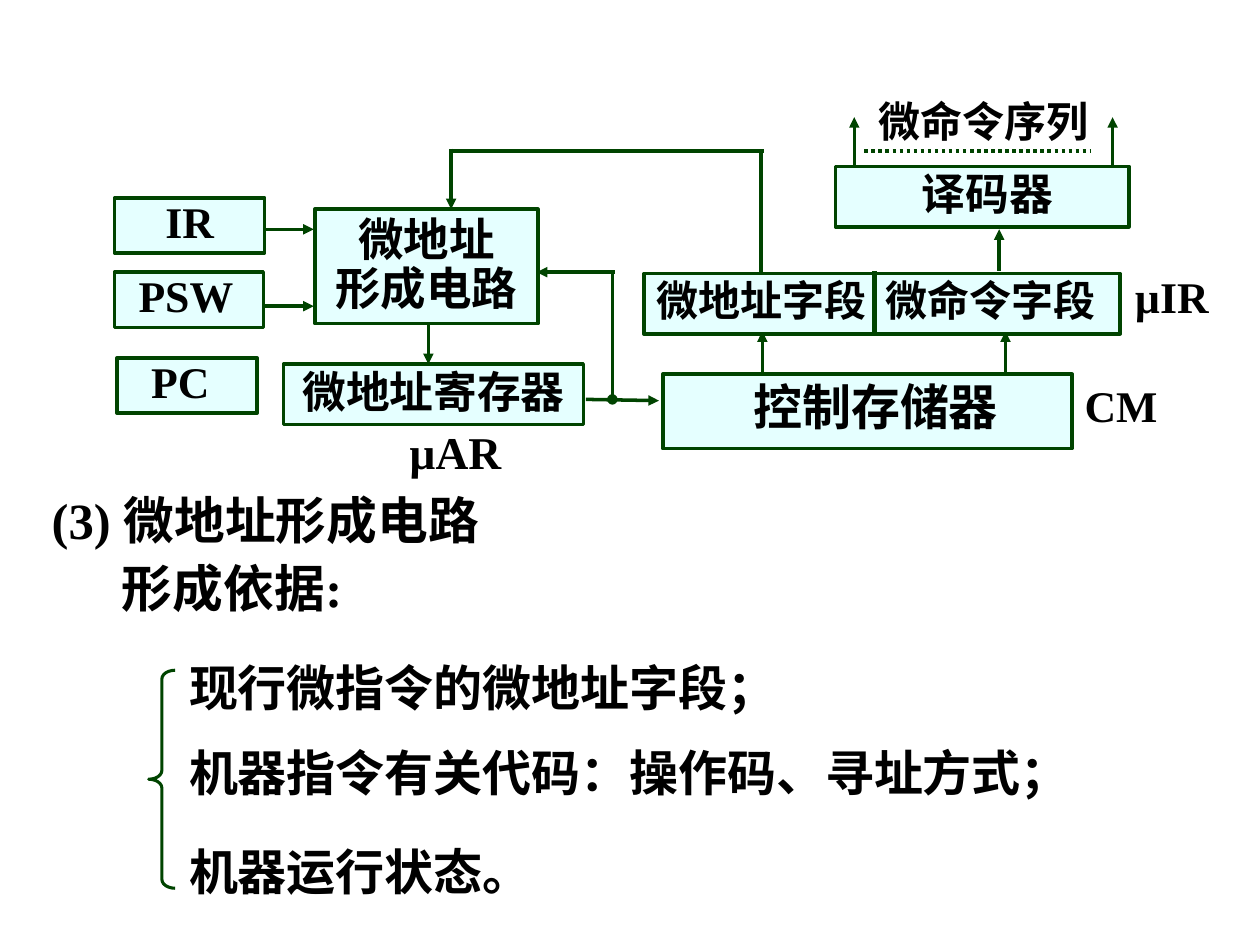
from lxml import etree
from pptx import Presentation
from pptx import util as u
from pptx.dml.color import RGBColor
from pptx.enum import dml, shapes, text
from pptx.oxml.ns import qn

COLORS = {"ink": "000000", "edge": "004400", "box": "E5FFFF"}
FONT = "Times New Roman"
LEFT, CENTER = text.PP_ALIGN.LEFT, text.PP_ALIGN.CENTER

deck = Presentation()
deck.slide_width, deck.slide_height = u.Inches(10), u.Inches(7.5)
cell = deck.slide_width / 100
slide = deck.slides.add_slide(deck.slide_layouts[1])


def write(shape, content, size=25, align=LEFT, spacing=1, inset=1, gaps=(0, 0, 0),
          anchor=text.MSO_ANCHOR.MIDDLE, wrap=True):
    frame = shape.text_frame
    frame.auto_size = text.MSO_AUTO_SIZE.NONE
    frame.word_wrap = wrap
    frame.vertical_anchor = anchor
    frame.margin_left, frame.margin_right = int(inset * cell), int(cell)
    frame.margin_top = frame.margin_bottom = 0
    for index, line in enumerate(content.split("\n")):
        paragraph = frame.paragraphs[0] if index == 0 else frame.add_paragraph()
        paragraph.alignment = align
        paragraph.line_spacing = spacing
        paragraph.space_before, paragraph.space_after = u.Pt(gaps[index]), u.Pt(0)
        properties = paragraph._p.get_or_add_pPr()
        properties.set("marL", "0")
        properties.set("indent", "0")
        etree.SubElement(properties, qn("a:buNone"))
        run = paragraph.add_run()
        run.text = line
        run.font.name, run.font.size, run.font.bold = FONT, u.Pt(size), True
        run.font.color.rgb = RGBColor.from_string(COLORS["ink"])


def wire(x1, y1, x2, y2, head=None, tail=None, width=2, dash=None):
    line = slide.shapes.add_connector(
        shapes.MSO_CONNECTOR.STRAIGHT, *(int(v * cell) for v in (x1, y1, x2, y2)))
    line.line.color.rgb = RGBColor.from_string(COLORS["edge"])
    line.line.width = u.Pt(width)
    if dash:
        line.line.dash_style = dash
    for tag, kind in (("a:headEnd", head), ("a:tailEnd", tail)):
        if kind:
            etree.SubElement(line.line._get_or_add_ln(), qn(tag), type=kind)
    etree.SubElement(line._element.spPr, qn("a:effectLst"))


heading = slide.shapes.title
reasons = slide.placeholders[1]
for holder, area in ((heading, (3.1, 38.3, 42, 5.8)), (reasons, (14, 52.2, 78, 21))):
    holder.left, holder.top, holder.width, holder.height = (int(v * cell) for v in area)
write(heading, "(3) 微地址形成电路", size=29)
write(reasons, "现行微指令的微地址字段；\n机器指令有关代码：操作码、寻址方式；\n机器运行状态。",
      size=28, gaps=(0, 15, 23), anchor=text.MSO_ANCHOR.TOP)

brace = slide.shapes.add_shape(
    shapes.MSO_SHAPE.LEFT_BRACE, *(int(v * cell) for v in (11.8, 53.2, 2.1, 17.3)))
brace.shadow.inherit = False
brace.adjustments[0], brace.adjustments[1] = 0.33, 0.5
brace.fill.background()
brace.line.color.rgb = RGBColor.from_string(COLORS["edge"])
brace.line.width = u.Pt(1.75)

arrows = [
    (79.8, 30.4, 79.8, 26.3), (60.5, 30.4, 60.5, 26.3), (79.3, 21.5, 79.3, 18.2),
    (67.8, 13.1, 67.8, 9.3), (88.3, 13.1, 88.3, 9.3), (46.5, 31.7, 52.3, 31.8),
    (48.8, 21.6, 42.6, 21.6), (34, 25.8, 34, 28.9), (20.8, 18.2, 24.9, 18.2),
    (20.8, 24.3, 24.9, 24.3), (35.8, 11.8, 35.8, 16.6),
]
for ends in arrows:
    wire(*ends, tail="triangle")
wire(48.6, 31.7, 48.6, 21.6, head="oval")
wire(35.8, 12, 60.6, 12)
wire(60.4, 12, 60.4, 21.7)
wire(68.6, 12, 86.6, 12, dash=dml.MSO_LINE.ROUND_DOT)

boxes = [
    ((25, 16.6, 17.7, 9.1), "微地址\n形成电路", dict(size=26, align=CENTER, spacing=0.9)),
    ((9.3, 28.4, 11.1, 4.4), "PC", dict(spacing=0.8, inset=2.7)),
    ((22.5, 28.9, 23.8, 4.8), "微地址寄存器", dict(align=CENTER, spacing=0.9, wrap=False)),
    ((66.3, 13.2, 23.3, 4.8), "译码器", dict(align=CENTER, spacing=0.9, inset=1.8)),
    ((9.1, 15.7, 11.9, 4.4), "IR", dict(align=CENTER, spacing=0.8)),
    ((9.1, 21.6, 11.8, 4.4), "PSW", dict(spacing=0.8, inset=1.9)),
    ((51.1, 21.7, 37.8, 4.8), "微地址字段", dict(size=24, spacing=0.85)),
    ((52.6, 29.7, 32.5, 5.9), "", {}),
]
for area, content, style in boxes:
    box = slide.shapes.add_shape(
        shapes.MSO_SHAPE.RECTANGLE, *(int(v * cell) for v in area))
    box.shadow.inherit = False
    box.fill.solid()
    box.fill.fore_color.rgb = RGBColor.from_string(COLORS["box"])
    box.line.color.rgb = RGBColor.from_string(COLORS["edge"])
    box.line.width = u.Pt(2)
    if content:
        write(box, content, **style)
wire(69.4, 21.5, 69.4, 26.5, width=2.5)

labels = [
    ((8.7, 43.7, 18.3, 5.8), "形成依据:", dict(size=29)),
    ((30.6, 33.2, 13.3, 5.3), "µAR", dict(size=26, inset=1.9)),
    ((85.1, 29.5, 8.8, 5.2), "CM", {}),
    ((68.7, 7.1, 19.8, 5), "微命令序列", dict(size=24)),
    ((69.3, 21.7, 19.6, 4.8), "微命令字段", dict(size=24, spacing=0.85)),
    ((89.1, 20.9, 8.3, 5.2), "µIR", {}),
    ((58.8, 29.4, 22.8, 5.7), "控制存储器", dict(size=28)),
]
for area, content, style in labels:
    label = slide.shapes.add_textbox(*(int(v * cell) for v in area))
    write(label, content, wrap=False, **style)

deck.save("out.pptx")
